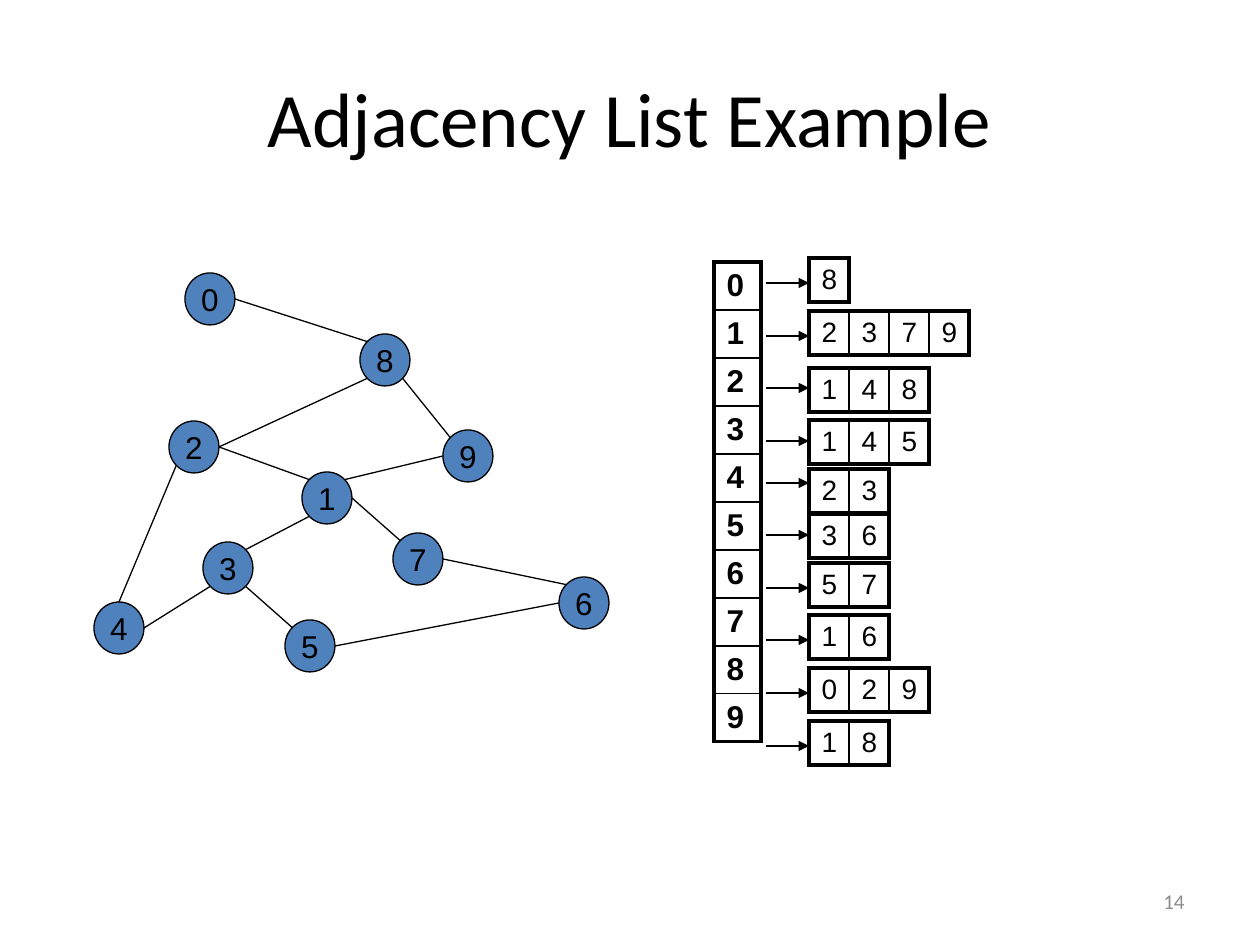
"""Build a slide showing a graph beside its adjacency lists."""
from lxml import etree
from pptx import Presentation
from pptx import util as u
from pptx.dml.color import RGBColor
from pptx.enum import shapes, text
from pptx.oxml import ns

WIDTH, HEIGHT = 1260, 945
COLORS = {"ink": "000000", "node": "4F81BD", "muted": "8C8C8C"}

TITLE = "Adjacency List Example"
PAGE_NUMBER = "14"
NODES = {
    "2": (169, 421), "4": (94, 602), "3": (203, 542), "5": (285, 620),
    "1": (302, 472), "7": (393, 533), "6": (559, 577), "9": (443, 430),
    "8": (360, 334), "0": (185, 273),
}
EDGES = [
    ("0", "e", "8", "nw"), ("8", "se", "9", "nw"), ("9", "w", "1", "ne"),
    ("8", "sw", "2", "e"), ("2", "e", "1", "nw"), ("2", "sw", "4", "n"),
    ("4", "e", "3", "sw"), ("3", "ne", "1", "sw"), ("3", "se", "5", "nw"),
    ("5", "e", "6", "w"), ("1", "e", "7", "nw"), ("7", "e", "6", "nw"),
]
NEIGHBOURS = [
    ("8", 258, 283), ("2379", 311, 336), ("148", 368, 388),
    ("145", 420, 441), ("23", 469, 483), ("36", 514, 535),
    ("57", 563, 588), ("16", 615, 640), ("029", 668, 693),
    ("18", 721, 746),
]
NODE_WIDTH, NODE_HEIGHT = 50, 52
INDEX_LEFT, INDEX_TOP, INDEX_WIDTH, INDEX_ROW = 714, 262, 47, 48
LIST_LEFT, LIST_CELL, LIST_ROW = 809, 40, 44
ARROW_START = 766


def px(length):
    return u.Emu(round(length * 914400 / 126))


def rgb(name):
    return RGBColor.from_string(COLORS[name])


def write(frame, content, size=18, font="Arial", color="ink", bold=False,
          align=text.PP_ALIGN.LEFT, wrap=True):
    frame.word_wrap = wrap
    frame.vertical_anchor = text.MSO_ANCHOR.MIDDLE
    paragraph = frame.paragraphs[0]
    paragraph.alignment = align
    run = paragraph.add_run()
    run.text = content
    run.font.size = u.Pt(size)
    run.font.name = font
    run.font.bold = bold
    run.font.color.rgb = rgb(color)


def add_label(slide, content, box, **style):
    label = slide.shapes.add_textbox(*map(px, box))
    write(label.text_frame, content, **style)


def add_line(parent, start, end, arrow=False):
    line = parent.shapes.add_connector(
        shapes.MSO_CONNECTOR.STRAIGHT, *map(px, (*start, *end)))
    line.line.color.rgb = rgb("ink")
    line.line.width = u.Pt(0.75)
    if arrow:
        etree.SubElement(line.line._get_or_add_ln(), ns.qn("a:tailEnd"),
                         type="triangle")
    etree.SubElement(line._element.spPr, ns.qn("a:effectLst"))


def add_node(group, name, corner):
    node = group.shapes.add_shape(
        shapes.MSO_SHAPE.OVAL, *map(px, (*corner, NODE_WIDTH, NODE_HEIGHT)))
    node.shadow.inherit = False
    node.fill.solid()
    node.fill.fore_color.rgb = rgb("node")
    node.line.color.rgb = rgb("ink")
    node.line.width = u.Pt(0.75)
    write(node.text_frame, name, align=text.PP_ALIGN.CENTER, wrap=False)


def node_site(name, compass):
    left, top = NODES[name]
    across = ("e" in compass) - ("w" in compass)
    down = ("s" in compass) - ("n" in compass)
    reach = 0.5 / (across ** 2 + down ** 2) ** 0.5
    return (left + NODE_WIDTH * (0.5 + across * reach),
            top + NODE_HEIGHT * (0.5 + down * reach))


def set_borders(cell, outer):
    properties = cell._tc.get_or_add_tcPr()
    for position, side in enumerate("LRTB"):
        border = etree.Element(ns.qn("a:ln" + side),
                               w=str(u.Pt(2.25 if side in outer else 1)))
        fill = etree.SubElement(border, ns.qn("a:solidFill"))
        etree.SubElement(fill, ns.qn("a:srgbClr"), val=COLORS["ink"])
        properties.insert(position, border)


def add_grid(slide, rows, left, top, cell_width, row_height, **style):
    count, width = len(rows), len(rows[0])
    table = slide.shapes.add_table(count, width, *map(px, (
        left, top, width * cell_width, count * row_height))).table
    table.first_row = table.horz_banding = False
    for r, row in enumerate(rows):
        table.rows[r].height = px(row_height)
        for c, value in enumerate(row):
            table.columns[c].width = px(cell_width)
            cell = table.cell(r, c)
            cell.margin_top = cell.margin_bottom = px(5)
            cell.vertical_anchor = text.MSO_ANCHOR.MIDDLE
            cell.fill.background()
            edges = {"L": c == 0, "R": c == width - 1,
                     "T": r == 0, "B": r == count - 1}
            set_borders(cell, [side for side in edges if edges[side]])
            write(cell.text_frame, value, **style)


def main():
    presentation = Presentation()
    presentation.slide_width, presentation.slide_height = px(WIDTH), px(HEIGHT)
    slide = presentation.slides.add_slide(presentation.slide_layouts[6])

    add_label(slide, TITLE, (63, 38, 1134, 157), size=44, font="Calibri",
              align=text.PP_ALIGN.CENTER)

    graph = slide.shapes.add_group_shape()
    for name, corner in NODES.items():
        add_node(graph, name, corner)
    for first, first_site, second, second_site in EDGES:
        add_line(graph, node_site(first, first_site),
                 node_site(second, second_site))

    indices = [str(index) for index in range(len(NEIGHBOURS))]
    add_grid(slide, indices, INDEX_LEFT, INDEX_TOP, INDEX_WIDTH, INDEX_ROW,
             bold=True)
    for neighbours, top, arrow_y in NEIGHBOURS:
        add_line(slide, (ARROW_START, arrow_y), (LIST_LEFT, arrow_y),
                 arrow=True)
        add_grid(slide, [neighbours], LIST_LEFT, top, LIST_CELL, LIST_ROW,
                 size=16)

    add_label(slide, PAGE_NUMBER, (903, 876, 294, 50), size=12,
              font="Calibri", color="muted", align=text.PP_ALIGN.RIGHT)
    presentation.save("out.pptx")


if __name__ == "__main__":
    main()
